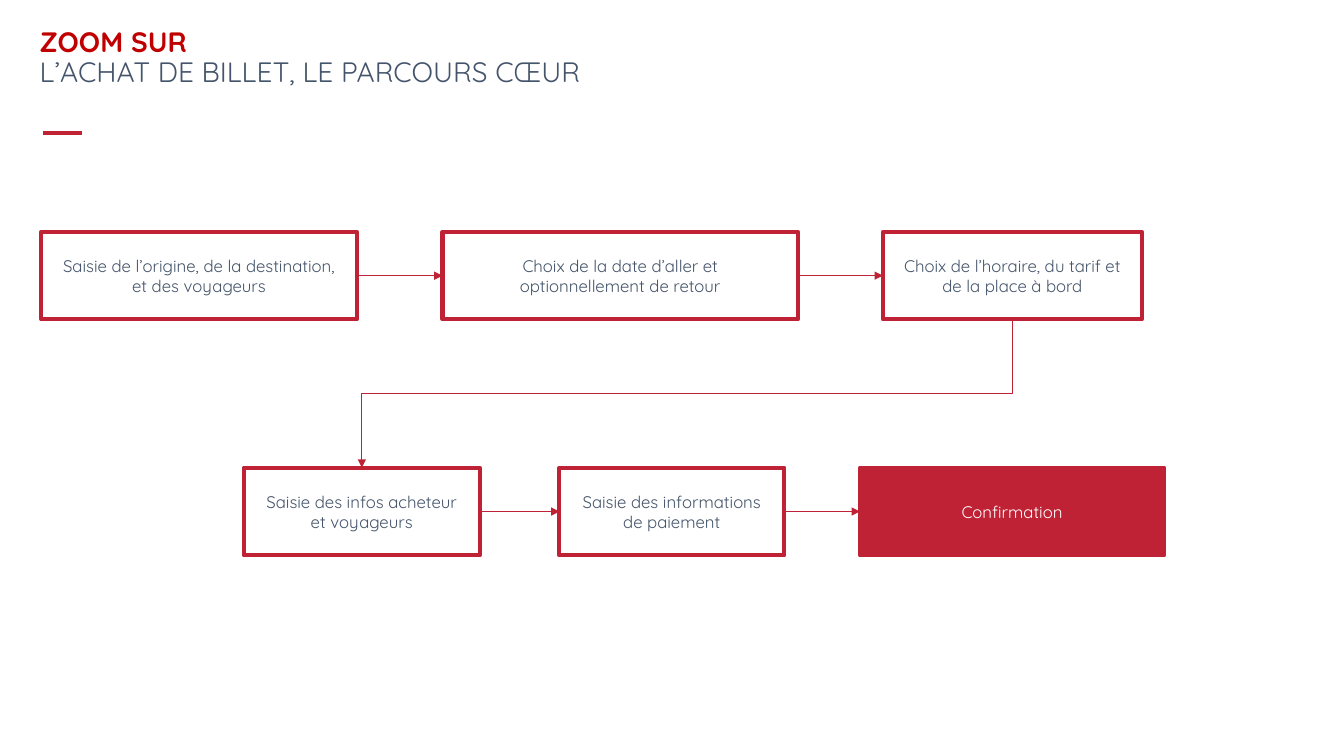
from dataclasses import dataclass
from itertools import pairwise

from lxml import etree
from pptx import Presentation
from pptx import util as u
from pptx.dml import color
from pptx.enum import shapes, text
from pptx.oxml import ns
from pptx.shapes import autoshape, connector
from pptx.slide import Slide
from pptx.text import text as t

COLORS = {"brand": "BF2235", "heading": "C00000", "body": "44546A", "white": "FFFFFF"}
FONT = "Quicksand"
STEP_HEIGHT = 62.6
TOP, LEFT, BOTTOM, RIGHT = range(4)


@dataclass(frozen=True)
class Step:
    label: str
    left: float
    width: float
    filled: bool = False


@dataclass(frozen=True)
class Row:
    top: float
    steps: tuple[Step, ...]


ROWS = (
    Row(165.6, (
        Step("Saisie de l’origine, de la destination, et des voyageurs", 29.5, 225.4),
        Step("Choix de la date d’aller et optionnellement de retour", 316.1, 254),
        Step("Choix de l’horaire, du tarif et de la place à bord", 630.7, 185),
    )),
    Row(334.1, (
        Step("Saisie des infos acheteur et voyageurs", 174.2, 168.5),
        Step("Saisie des informations de paiement", 399.6, 160.6),
        Step("Confirmation", 614.2, 217.4, filled=True),
    )),
)


def rgb(name: str) -> color.RGBColor:
    return color.RGBColor.from_string(COLORS[name])


def add_span(para: t._Paragraph, words: str, size: float, tint: str, bold: bool = False) -> None:
    span = para.add_run()
    span.text = words
    span.font.name = FONT
    span.font.size = u.Pt(size)
    span.font.bold = bold
    span.font.color.rgb = rgb(tint)


def set_margins(frame: t.TextFrame, side: float, edge: float) -> None:
    frame.word_wrap = True
    frame.margin_left = frame.margin_right = u.Pt(side)
    frame.margin_top = frame.margin_bottom = u.Pt(edge)


def add_title(page: Slide) -> None:
    box = page.shapes.add_textbox(u.Pt(0), u.Pt(0), u.Pt(960), u.Pt(118.8))
    set_margins(box.text_frame, 28.35, 20)
    para = box.text_frame.paragraphs[0]
    para.line_spacing = 0.9
    add_span(para, "ZOOM SUR", 20, "heading", bold=True)
    para.add_line_break()
    add_span(para, "L’ACHAT DE BILLET, LE PARCOURS CŒUR", 20, "body")


def add_step(page: Slide, step: Step, top: float) -> autoshape.Shape:
    box = page.shapes.add_shape(
        shapes.MSO_SHAPE.RECTANGLE,
        u.Pt(step.left), u.Pt(top), u.Pt(step.width), u.Pt(STEP_HEIGHT),
    )
    box.shadow.inherit = False
    box.line.color.rgb = rgb("brand")
    box.line.width = u.Pt(3)
    if step.filled:
        box.fill.solid()
        box.fill.fore_color.rgb = rgb("brand")
    else:
        box.fill.background()
    frame = box.text_frame
    set_margins(frame, 11.5, 3.6)
    frame.vertical_anchor = text.MSO_ANCHOR.MIDDLE
    para = frame.paragraphs[0]
    para.alignment = text.PP_ALIGN.CENTER
    add_span(para, step.label, 12, "white" if step.filled else "body")
    return box


def add_line(
    page: Slide, kind: shapes.MSO_CONNECTOR, width: float, start: float = 0, end: float = 0, y: float = 0
) -> connector.Connector:
    line = page.shapes.add_connector(kind, u.Pt(start), u.Pt(y), u.Pt(end), u.Pt(y))
    line.line.color.rgb = rgb("brand")
    line.line.width = u.Pt(width)
    etree.SubElement(line._element.spPr, ns.qn("a:effectLst"))
    return line


def add_arrow(
    page: Slide, kind: shapes.MSO_CONNECTOR,
    source: autoshape.Shape, source_site: int, target: autoshape.Shape, target_site: int,
) -> connector.Connector:
    arrow = add_line(page, kind, 0.5)
    arrow.begin_connect(source, source_site)
    arrow.end_connect(target, target_site)
    outline = arrow.line._get_or_add_ln()
    etree.SubElement(outline, ns.qn("a:tailEnd"), type="triangle")
    return arrow


def turn_downward(arrow: connector.Connector) -> None:
    center_x = arrow.left + arrow.width // 2
    center_y = arrow.top + arrow.height // 2
    arrow.width, arrow.height = arrow.height, arrow.width
    arrow.left = center_x - arrow.width // 2
    arrow.top = center_y - arrow.height // 2
    frame = arrow._element.spPr.xfrm
    frame.flipH = False
    frame.set("rot", str(90 * 60000))


deck = Presentation()
deck.slide_width, deck.slide_height = u.Pt(960), u.Pt(540)
page = deck.slides.add_slide(deck.slide_layouts[6])

add_line(page, shapes.MSO_CONNECTOR.STRAIGHT, 3, 31, 58.5, 95.2)
add_title(page)

flow = [[add_step(page, step, row.top) for step in row.steps] for row in ROWS]
for boxes in flow:
    for source, target in pairwise(boxes):
        add_arrow(page, shapes.MSO_CONNECTOR.STRAIGHT, source, RIGHT, target, LEFT)
for upper, lower in pairwise(flow):
    turn_downward(add_arrow(page, shapes.MSO_CONNECTOR.ELBOW, upper[-1], BOTTOM, lower[0], TOP))

deck.save("out.pptx")
